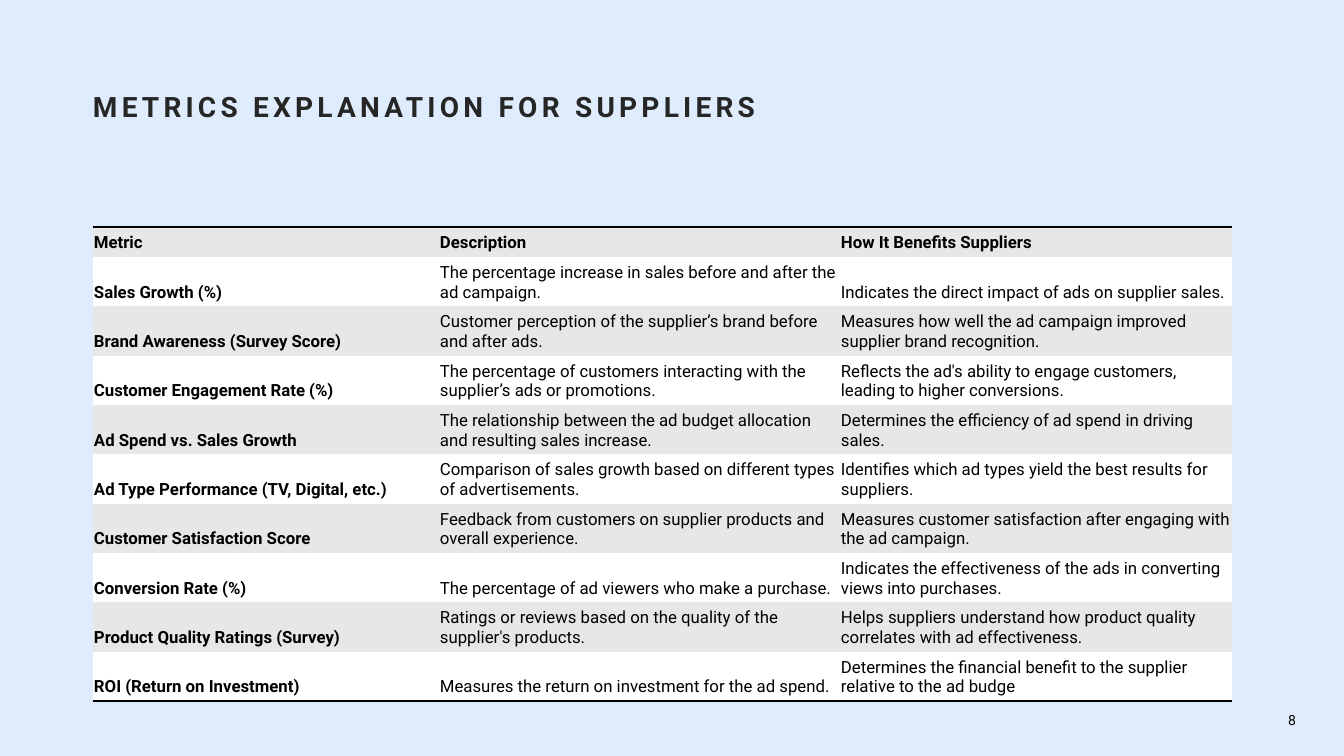
from dataclasses import dataclass
from lxml.etree import SubElement
from pptx import Presentation
from pptx.dml.color import RGBColor
from pptx.enum.text import MSO_ANCHOR, MSO_AUTO_SIZE, PP_ALIGN
from pptx.oxml import parse_xml
from pptx.oxml.ns import nsdecls, qn
from pptx.util import Pt

PX = 914400 / 100.8


@dataclass(frozen=True)
class Theme:
    font: str = "Roboto"
    background: str = "DFECFD"
    heading: str = "262626"
    ink: str = "000000"
    bands: tuple = ("E7E7E7", "FFFFFF")
    heading_size: int = 20
    table_size: int = 12
    number_size: int = 10
    rule_width: int = 2


THEME = Theme()


def px(length):
    return round(length * PX)


def write(frame, text, size, color=THEME.ink, bold=False, align=PP_ALIGN.LEFT,
          tracking=0, line_spacing=None, space_after=0):
    paragraph = frame.paragraphs[0]
    paragraph.alignment = align
    paragraph.line_spacing = line_spacing
    paragraph.space_after = Pt(space_after)
    run = paragraph.add_run()
    run.text = text
    run.font.name = THEME.font
    run.font.size = Pt(size)
    run.font.bold = bold
    run.font.color.rgb = RGBColor.from_string(color)
    if tracking:
        run.font._element.set("spc", str(tracking * 100))


METRICS = [
    ("Metric", "Description", "How It Benefits Suppliers"),
    ("Sales Growth (%)",
     "The percentage increase in sales before and after the ad campaign.",
     "Indicates the direct impact of ads on supplier sales."),
    ("Brand Awareness (Survey Score)",
     "Customer perception of the supplier’s brand before and after ads.",
     "Measures how well the ad campaign improved supplier brand recognition."),
    ("Customer Engagement Rate (%)",
     "The percentage of customers interacting with the supplier’s ads or promotions.",
     "Reflects the ad's ability to engage customers, leading to higher conversions."),
    ("Ad Spend vs. Sales Growth",
     "The relationship between the ad budget allocation and resulting sales increase.",
     "Determines the efficiency of ad spend in driving sales."),
    ("Ad Type Performance (TV, Digital, etc.)",
     "Comparison of sales growth based on different types of advertisements.",
     "Identifies which ad types yield the best results for suppliers."),
    ("Customer Satisfaction Score",
     "Feedback from customers on supplier products and overall experience.",
     "Measures customer satisfaction after engaging with the ad campaign."),
    ("Conversion Rate (%)",
     "The percentage of ad viewers who make a purchase.",
     "Indicates the effectiveness of the ads in converting views into purchases."),
    ("Product Quality Ratings (Survey)",
     "Ratings or reviews based on the quality of the supplier's products.",
     "Helps suppliers understand how product quality correlates with ad effectiveness."),
    ("ROI (Return on Investment)",
     "Measures the return on investment for the ad spend.",
     "Determines the financial benefit to the supplier relative to the ad budge"),
]
COLUMN_WIDTHS = (346, 401, 392)
TABLE_HEIGHT, HEADER_HEIGHT = 474, 30
METRIC_HEIGHT = (TABLE_HEIGHT - HEADER_HEIGHT) / (len(METRICS) - 1)

prs = Presentation()
prs.slide_width, prs.slide_height = px(1344), px(756)
slide = prs.slides.add_slide(prs.slide_layouts[5])
slide.background.fill.solid()
slide.background.fill.fore_color.rgb = RGBColor.from_string(THEME.background)

heading = slide.shapes.title
heading.left, heading.top, heading.width, heading.height = px(93), px(93), px(1155), px(61)
heading_frame = heading.text_frame
heading_frame.word_wrap = True
heading_frame.auto_size = MSO_AUTO_SIZE.NONE
heading_frame.vertical_anchor = MSO_ANCHOR.TOP
heading_frame.margin_left = heading_frame.margin_right = 0
heading_frame.margin_top = heading_frame.margin_bottom = 0
write(heading_frame, "METRICS EXPLANATION FOR SUPPLIERS", THEME.heading_size,
      color=THEME.heading, bold=True, tracking=3, line_spacing=0.9)

page_number = slide.shapes.add_textbox(px(1204), px(704), px(92), px(31)).text_frame
page_number.word_wrap = True
page_number.vertical_anchor = MSO_ANCHOR.MIDDLE
page_number.margin_left = page_number.margin_right = 0
page_number.margin_top = page_number.margin_bottom = 0
write(page_number, "8", THEME.number_size, align=PP_ALIGN.RIGHT, space_after=6)

metrics = slide.shapes.add_table(len(METRICS), len(COLUMN_WIDTHS), px(93), px(227),
                                 px(sum(COLUMN_WIDTHS)), px(TABLE_HEIGHT)).table
metrics.first_row = metrics.horz_banding = False
metrics._tbl.tblPr.find(qn("a:tableStyleId")).text = "{2D5ABB26-0587-4C30-8999-92F81FD0307C}"
for column, width in zip(metrics.columns, COLUMN_WIDTHS):
    column.width = px(width)

edges = {0: "lnT", len(METRICS) - 1: "lnB"}
for r, entries in enumerate(METRICS):
    metrics.rows[r].height = px(METRIC_HEIGHT if r else HEADER_HEIGHT)
    for c, entry in enumerate(entries):
        cell = metrics.cell(r, c)
        cell.margin_left = cell.margin_right = cell.margin_top = px(1)
        cell.margin_bottom = px(4)
        cell.vertical_anchor = MSO_ANCHOR.BOTTOM
        cell.fill.solid()
        cell.fill.fore_color.rgb = RGBColor.from_string(THEME.bands[r % 2])
        write(cell.text_frame, entry, THEME.table_size, bold=r == 0 or c == 0)
        if r in edges:
            rule = parse_xml(f'<a:{edges[r]} {nsdecls("a")} w="{Pt(THEME.rule_width)}"/>')
            SubElement(SubElement(rule, qn("a:solidFill")), qn("a:srgbClr"), val=THEME.ink)
            cell._tc.get_or_add_tcPr().insert(0, rule)

prs.save("out.pptx")
